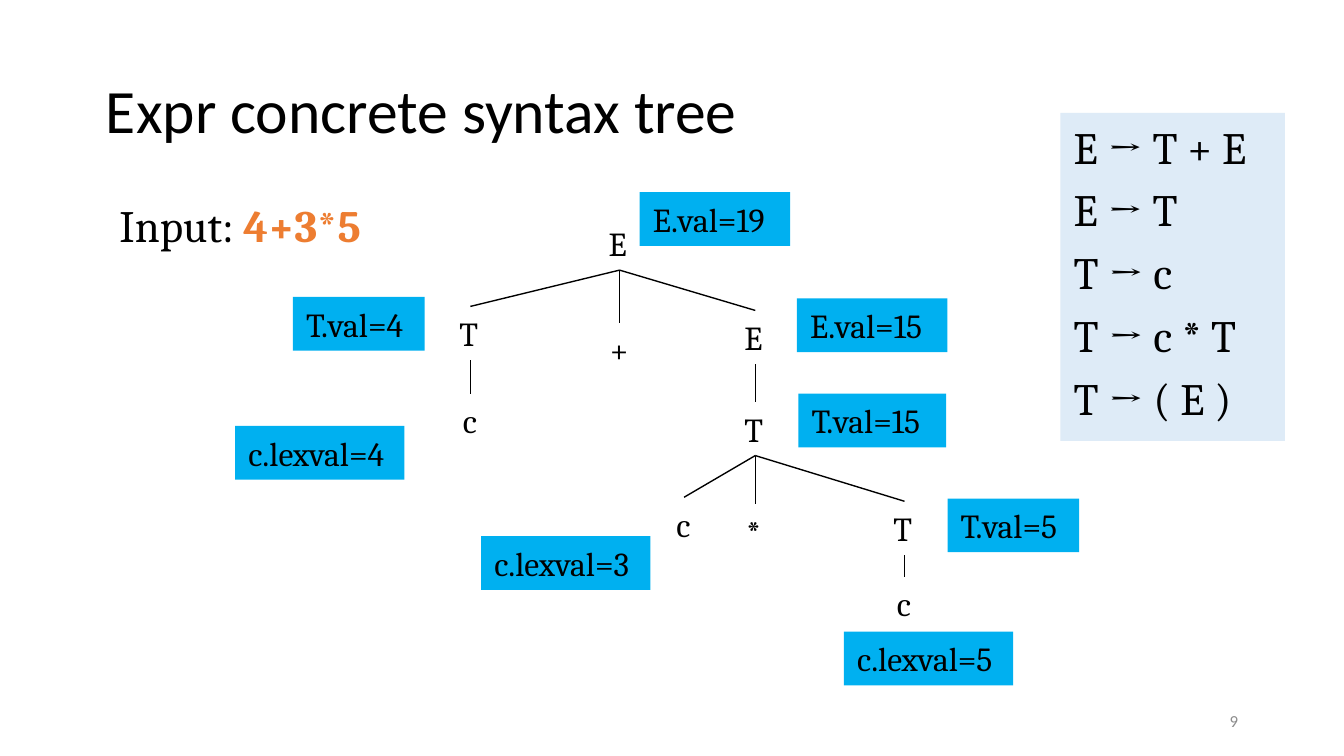
from dataclasses import dataclass

import pptx
import pptx.dml.color
import pptx.enum.shapes
import pptx.enum.text
import pptx.oxml
import pptx.util
from pptx.util import Inches

BLACK = pptx.dml.color.RGBColor(0x00, 0x00, 0x00)
GRAY = pptx.dml.color.RGBColor(0x8C, 0x8C, 0x8C)
ORANGE = pptx.dml.color.RGBColor(0xED, 0x7D, 0x31)
SKY = pptx.dml.color.RGBColor(0x00, 0xB0, 0xF0)
PALE_BLUE = pptx.dml.color.RGBColor(0xDE, 0xEB, 0xF7)

ANCHOR = pptx.enum.text.MSO_ANCHOR
ALIGN = pptx.enum.text.PP_ALIGN
ROW_HEIGHT = 0.4
TOP, BOTTOM = 0, 2


@dataclass(frozen=True)
class Node:
    key: str
    symbol: str
    center: float
    top: float
    width: float
    parent: str = ""


@dataclass(frozen=True)
class Attribute:
    text: str
    left: float
    top: float
    width: float


NODES = [
    Node("sum", "E", 4.61, 1.61, 0.36),
    Node("left term", "T", 3.5, 2.28, 0.36, "sum"),
    Node("plus", "+", 4.61, 2.4, 0.34, "sum"),
    Node("right sum", "E", 5.62, 2.31, 0.36, "sum"),
    Node("four", "c", 3.5, 2.93, 0.31, "left term"),
    Node("product", "T", 5.62, 2.99, 0.36, "right sum"),
    Node("three", "c", 5.09, 3.7, 0.31, "product"),
    Node("times", "*", 5.62, 3.75, 0.33, "product"),
    Node("factor", "T", 6.73, 3.73, 0.36, "product"),
    Node("five", "c", 6.73, 4.29, 0.31, "factor"),
]

ATTRIBUTES = [
    Attribute("c.lexval=4", 1.75, 3.17, 1.26),
    Attribute("c.lexval=3", 3.58, 3.99, 1.26),
    Attribute("c.lexval=5", 6.28, 4.7, 1.26),
    Attribute("T.val=4", 2.18, 2.21, 0.98),
    Attribute("T.val=5", 7.05, 3.71, 0.98),
    Attribute("T.val=15", 5.94, 2.93, 1.1),
    Attribute("E.val=15", 5.93, 2.22, 1.12),
    Attribute("E.val=19", 4.76, 1.43, 1.12),
]

GRAMMAR = [
    ("E ", "→ ", "T + E"),
    ("E ", "→ ", "T"),
    ("T ", "→", " c"),
    ("T ", "→", " c * T"),
    ("T ", "→ ", "( E )"),
]


def add_run(paragraph, text: str, size: float = 18, name: str = "Cambria",
            color=BLACK, bold: bool = False) -> None:
    run = paragraph.add_run()
    run.text = text
    formats = {"size": pptx.util.Pt(size), "name": name, "bold": bold}
    for attribute, value in formats.items():
        setattr(run.font, attribute, value)
    run.font.color.rgb = color


def add_box(slide, left: float, top: float, width: float, height: float,
            fill=None, wrap: bool = True, anchor=ANCHOR.TOP):
    area = [Inches(value) for value in (left, top, width, height)]
    if fill is None:
        box = slide.shapes.add_textbox(*area)
    else:
        box = slide.shapes.add_shape(
            pptx.enum.shapes.MSO_SHAPE.RECTANGLE, *area)
        box.shadow.inherit = False
        box.fill.solid()
        box.fill.fore_color.rgb = fill
        box.line.fill.background()
    formats = {"word_wrap": wrap, "vertical_anchor": anchor}
    for attribute, value in formats.items():
        setattr(box.text_frame, attribute, value)
    box.text_frame.paragraphs[0].alignment = ALIGN.LEFT
    return box


def add_node(slide, node: Node):
    box = add_box(slide, node.center - node.width / 2, node.top,
                  node.width, ROW_HEIGHT, wrap=False)
    add_run(box.text_frame.paragraphs[0], node.symbol)
    return box


def add_branch(slide, parent, child) -> None:
    branch = slide.shapes.add_connector(
        pptx.enum.shapes.MSO_CONNECTOR.STRAIGHT, 0, 0, 0, 0)
    branch.begin_connect(parent, BOTTOM)
    branch.end_connect(child, TOP)
    branch.line.color.rgb = BLACK
    branch.line.width = pptx.util.Pt(0.75)
    branch._element.spPr.append(pptx.oxml.parse_xml(
        '<a:effectLst xmlns:a='
        '"http://schemas.openxmlformats.org/drawingml/2006/main"/>'))


def add_attribute(slide, label: Attribute) -> None:
    box = add_box(slide, label.left, label.top, label.width, ROW_HEIGHT,
                  fill=SKY, wrap=False)
    add_run(box.text_frame.paragraphs[0], label.text)


def add_grammar(slide) -> None:
    frame = add_box(slide, 7.89, 0.84, 1.67, 2.44, PALE_BLUE,
                    wrap=False).text_frame
    for index, (head, arrow, body) in enumerate(GRAMMAR):
        rule = frame.add_paragraph() if index else frame.paragraphs[0]
        rule.alignment = ALIGN.LEFT
        if index:
            rule.space_before = pptx.util.Pt(4.8)
        add_run(rule, head, 24)
        add_run(rule, arrow, 24, bold=True)
        add_run(rule, body, 24)


def main() -> None:
    presentation = pptx.Presentation()
    presentation.slide_width = Inches(10)
    presentation.slide_height = Inches(10 * 9 / 16)
    slide = presentation.slides.add_slide(presentation.slide_layouts[6])

    title = add_box(slide, 0.69, 0.3, 8.62, 1.09, anchor=ANCHOR.MIDDLE)
    heading = title.text_frame.paragraphs[0]
    heading.line_spacing = 0.9
    add_run(heading, "Expr concrete syntax tree", 33, "Calibri")

    number = add_box(slide, 7.06, 5.21, 2.25, 0.3, anchor=ANCHOR.MIDDLE)
    page = number.text_frame.paragraphs[0]
    page.alignment = ALIGN.RIGHT
    add_run(page, "9", 9, "Calibri", GRAY)

    drawn = {node.key: add_node(slide, node) for node in NODES}
    for node in NODES:
        if node.parent:
            add_branch(slide, drawn[node.parent], drawn[node.key])
    for label in ATTRIBUTES:
        add_attribute(slide, label)
    add_grammar(slide)

    task = add_box(slide, 0.79, 1.42, 2.08, 0.5).text_frame.paragraphs[0]
    add_run(task, "Input: ", 24)
    add_run(task, "4+3*5", 24, color=ORANGE, bold=True)

    presentation.save("out.pptx")


if __name__ == "__main__":
    main()
